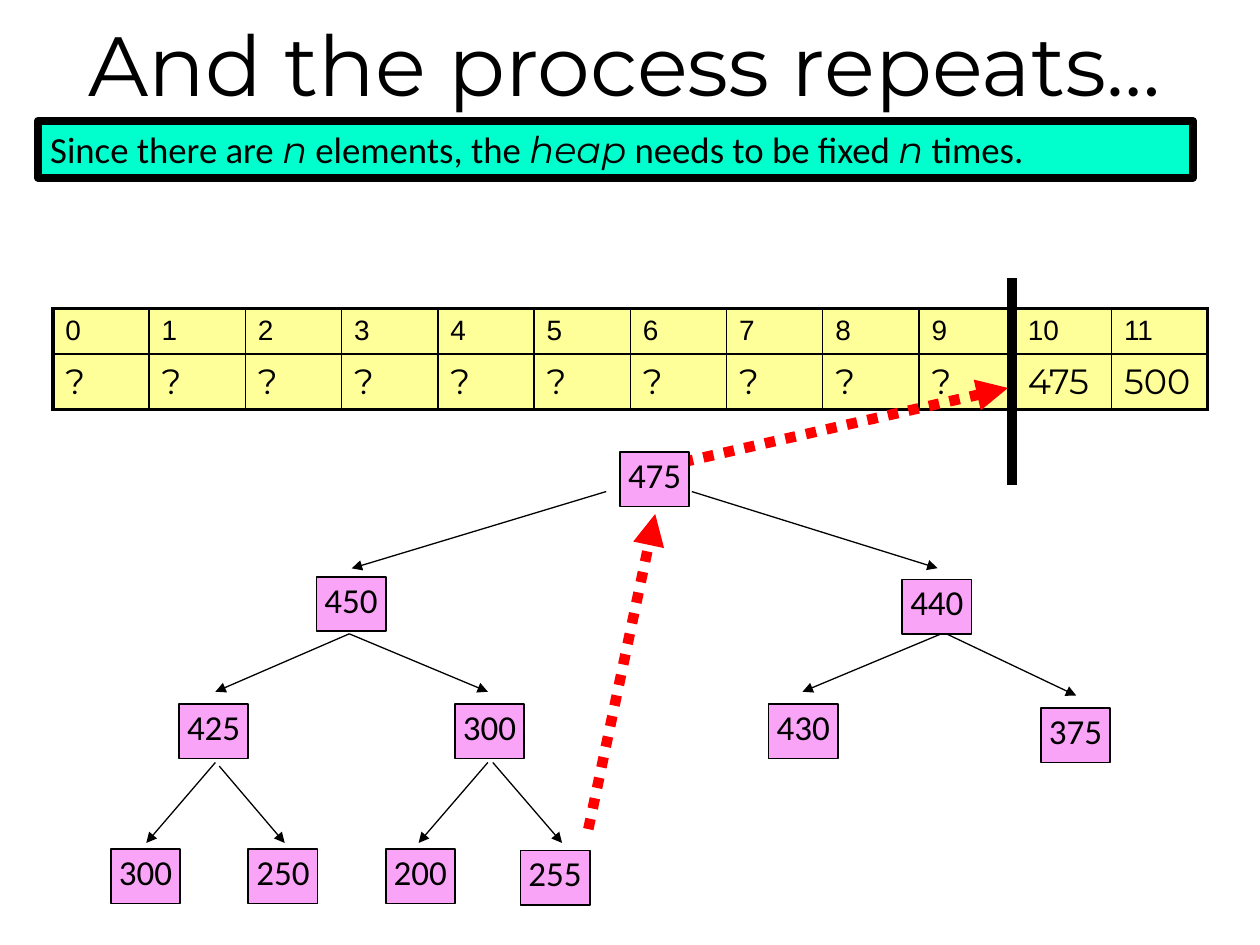
import pptx
import pptx.util
import pptx.dml.color
import pptx.enum.dml
import pptx.enum.shapes
import pptx.enum.text
import pptx.oxml
import pptx.oxml.ns

Pt = pptx.util.Pt
ALIGN = pptx.enum.text.PP_ALIGN
ANCHOR = pptx.enum.text.MSO_ANCHOR
BLACK = "000000"
NODE_WIDTH, NODE_HEIGHT = 39.6, 31


def color(value):
    return pptx.dml.color.RGBColor.from_string(value)


def drawing_element(tag, attributes="", content=""):
    namespace = pptx.oxml.ns.nsdecls("a")
    return pptx.oxml.parse_xml(
        f"<a:{tag} {namespace} {attributes}>{content}</a:{tag}>")


def write(frame, text, size=20, font="Calibri", italic=False, align=ALIGN.LEFT):
    paragraph = frame.paragraphs[0]
    paragraph.alignment = align
    run = paragraph.add_run()
    run.text = text
    run.font.size = Pt(size)
    run.font.name = font
    run.font.italic = italic
    run.font.bold = False
    run.font.color.rgb = color(BLACK)


def add_box(slide, box, fill, line_width, inset=None):
    shape = slide.shapes.add_shape(
        pptx.enum.shapes.MSO_SHAPE.RECTANGLE, *[Pt(length) for length in box])
    shape.shadow.inherit = False
    shape.fill.solid()
    shape.fill.fore_color.rgb = color(fill)
    shape.line.color.rgb = color(BLACK)
    shape.line.width = Pt(line_width)
    frame = shape.text_frame
    frame.word_wrap = True
    frame.vertical_anchor = ANCHOR.TOP
    if inset is not None:
        frame.margin_left = frame.margin_right = Pt(inset)
        frame.margin_top = frame.margin_bottom = Pt(inset)
    return frame


def add_line(slide, start, end, width=0.75, stroke=BLACK, dotted=False, arrow=True):
    line = slide.shapes.add_connector(
        pptx.enum.shapes.MSO_CONNECTOR.STRAIGHT,
        *[Pt(length) for length in (*start, *end)])
    line.line.color.rgb = color(stroke)
    line.line.width = Pt(width)
    if dotted:
        line.line.dash_style = pptx.enum.dml.MSO_LINE.ROUND_DOT
    properties = line._element.spPr
    if arrow:
        outline = properties.find(pptx.oxml.ns.qn("a:ln"))
        outline.append(drawing_element("tailEnd", 'type="triangle"'))
    properties.append(drawing_element("effectLst"))


def set_borders(cell, widths):
    properties = cell._tc.get_or_add_tcPr()
    stroke = f'<a:solidFill><a:srgbClr val="{BLACK}"/></a:solidFill>'
    for position, (side, width) in enumerate(widths.items()):
        border = drawing_element(f"ln{side}", f'w="{int(Pt(width))}"', stroke)
        properties.insert(position, border)


def add_title(slide, box):
    title = slide.shapes.title
    title.left, title.top, title.width, title.height = [Pt(length) for length in box]
    title.text_frame.vertical_anchor = ANCHOR.MIDDLE
    write(title.text_frame, "And the process repeats…", size=48,
          font="Montserrat", align=ALIGN.CENTER)


def add_banner(slide, box):
    frame = add_box(slide, box, "00FFCC", 4.5)
    phrases = ("Since there are ", "n", " elements, the ", "heap",
               " needs to be fixed ", "n", " times.")
    for position, phrase in enumerate(phrases):
        emphasized = position % 2 == 1
        write(frame, phrase, size=21, italic=emphasized,
              font="Montserrat" if emphasized else "Calibri")


def add_array(slide, box):
    left, top, width, height = box
    indices = [str(index) for index in range(12)]
    values = ["?"] * 10 + ["475", "500"]
    array = slide.shapes.add_table(
        2, len(indices), Pt(left), Pt(top), Pt(width), Pt(height)).table
    array.first_row = False
    array.horz_banding = False
    last = len(indices) - 1
    for column in array.columns:
        column.width = Pt(width / len(indices))
    rows = ((indices, 16, "Arial", 26), (values, 20, "Montserrat", height - 26))
    for row, (entries, size, font, row_height) in enumerate(rows):
        array.rows[row].height = Pt(row_height)
        for column, entry in enumerate(entries):
            cell = array.cell(row, column)
            cell.fill.solid()
            cell.fill.fore_color.rgb = color("FFFF99")
            write(cell.text_frame, entry, size=size, font=font)
            outer = {"L": column == 0, "R": column == last, "T": row == 0, "B": row == 1}
            set_borders(cell, {side: 2.25 if edge else 1 for side, edge in outer.items()})


def add_moves(slide, box):
    left, top, width, height = box
    sorted_boundary = left + width
    add_line(slide, (left + 54, top + 105), (left + 239.8, top + 62.6),
             width=6, stroke="FF0000", dotted=True)
    add_line(slide, (sorted_boundary, top + 118), (sorted_boundary, top),
             width=6, arrow=False)
    add_line(slide, (left, top + height), (left + 38.2, top + 134.6),
             width=6, stroke="FF0000", dotted=True)


def add_heap(slide, origin):
    left, top = origin
    nodes = [
        ("475", 290.9, 0),
        ("450", 117.4, 71.3), ("440", 452.2, 72.7),
        ("425", 38.9, 144), ("300", 196.6, 144),
        ("430", 375.8, 144), ("375", 531.4, 146.2),
        ("300", 0, 226.8), ("250", 78.5, 226.8),
        ("200", 157, 226.8), ("255", 234, 227.5),
    ]
    departures = [(-27.7, -8.6), (21.2, -8.6), (-1, 1.4), (-1, 1.4), (2.5, 0),
                  (5.4, 0), (1, 2.2), (3.2, 4.3), (-1, 2.2), (1.8, 2.2)]
    arrivals = [(0.4, -5), (0.4, -6.5), (1, -7.2), (-1, -7.2), (-0.4, -7.2),
                (0.4, -7.2), (0.4, -3.6), (1, -3.6), (-1, -3.6), (4, -4.3)]
    for key, x, y in nodes:
        frame = add_box(slide, (left + x, top + y, NODE_WIDTH, NODE_HEIGHT),
                        "FAA4F8", 1, inset=0.72)
        write(frame, key, align=ALIGN.CENTER)
    for child in range(1, len(nodes)):
        _, parent_x, parent_y = nodes[(child - 1) // 2]
        _, child_x, child_y = nodes[child]
        depart_x, depart_y = departures[child - 1]
        arrive_x, arrive_y = arrivals[child - 1]
        center = left + NODE_WIDTH / 2
        add_line(slide,
                 (center + parent_x + depart_x, top + parent_y + NODE_HEIGHT + depart_y),
                 (center + child_x + arrive_x, top + child_y + arrive_y))


def build_slide(presentation):
    slide = presentation.slides.add_slide(presentation.slide_layouts[5])
    add_title(slide, (0, 0, 714, 72))
    add_banner(slide, (21.6, 69.1, 660.2, 32.4))
    add_array(slide, (30.2, 176.4, 660.2, 57.6))
    add_moves(slide, (336.2, 159.1, 242, 314.7))
    add_heap(slide, (63.4, 258.5))


presentation = pptx.Presentation()
presentation.slide_width = Pt(720)
presentation.slide_height = Pt(540)
build_slide(presentation)
presentation.save("out.pptx")
